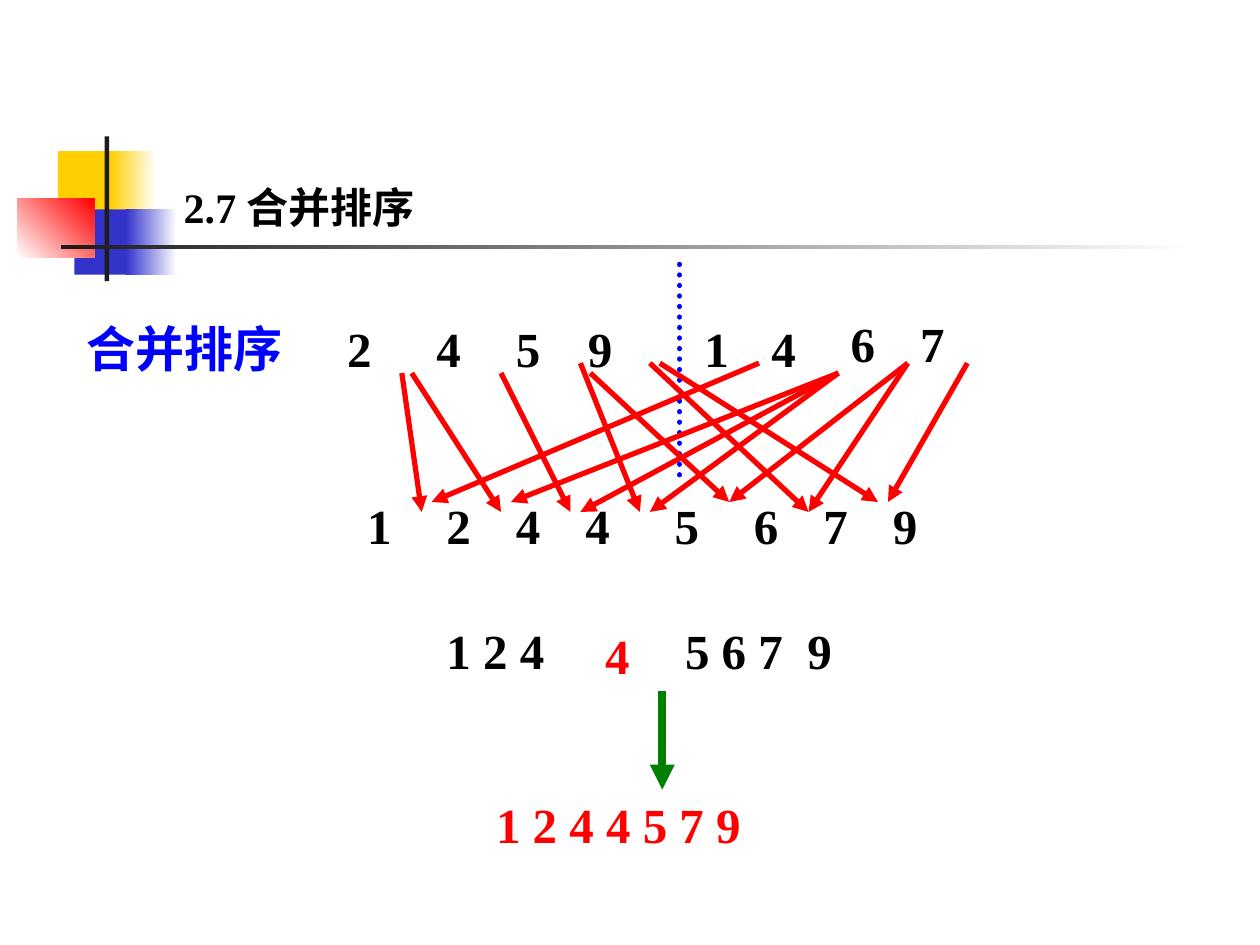
"""Builds the merge sort slide on a grid of 254 columns, one millimetre each."""
from lxml import etree
from pptx import Presentation
from pptx import util as u
from pptx.dml.color import RGBColor
from pptx.enum import dml, shapes, text
from pptx.oxml.ns import qn

FONT = "Times New Roman"
BLACK, WHITE, RED, BLUE, GREEN = "000000", "FFFFFF", "FF0000", "0000FF", "008000"
GOLD, INDIGO, INK = "FFCF01", "3333CC", "1C1C1C"


def rgb(value):
    """Return the colour for a hex string."""
    return RGBColor.from_string(value)


def write(frame, content, size=28, color=BLACK, before=7):
    """Put one bold, left-aligned line of text in a text frame."""
    frame.word_wrap = True
    frame.auto_size = text.MSO_AUTO_SIZE.SHAPE_TO_FIT_TEXT
    frame.vertical_anchor = text.MSO_ANCHOR.TOP
    line = frame.paragraphs[0]
    line.alignment = text.PP_ALIGN.LEFT
    line.line_spacing = 0.8
    line.space_before = u.Pt(before)
    run = line.add_run()
    run.text = content
    run.font.name, run.font.size, run.font.bold = FONT, u.Pt(size), True
    run.font.color.rgb = rgb(color)


class MergeSlide:
    """Holds the grid and the slide, and draws each kind of element."""

    COLUMNS = 254

    def __init__(self, deck):
        """Add a title-only slide to the deck."""
        self.cell = deck.slide_width / self.COLUMNS
        self.slide = deck.slides.add_slide(deck.slide_layouts[5])

    def grid(self, *cells):
        """Turn grid cells into slide lengths."""
        return [u.Emu(round(count * self.cell)) for count in cells]

    def block(self, area, start, end=None, angle=0):
        """Draw a plain or gradient rectangle without outline."""
        block = self.slide.shapes.add_shape(shapes.MSO_SHAPE.RECTANGLE, *self.grid(*area))
        block.shadow.inherit = False
        block.line.fill.background()
        if end is None:
            block.fill.solid()
            block.fill.fore_color.rgb = rgb(start)
            return
        block.fill.gradient()
        block.fill.gradient_angle = angle
        for stop, color in zip(block.fill.gradient_stops, (start, end)):
            stop.color.rgb = rgb(color)

    def title(self, area, content):
        """Place and format the title placeholder."""
        title = self.slide.shapes.title
        title.left, title.top, title.width, title.height = self.grid(*area)
        write(title.text_frame, content, size=24, before=6)

    def label(self, left, top, content, width=29, color=BLACK):
        """Add a text box with one line of text."""
        box = self.slide.shapes.add_textbox(*self.grid(left, top, width, 12.2))
        write(box.text_frame, content, color=color)

    def line(self, start, end, color=RED, width=3, arrow=True):
        """Draw a straight arrow, or a round-dotted line without a head."""
        line = self.slide.shapes.add_connector(
            shapes.MSO_CONNECTOR.STRAIGHT, *self.grid(*start, *end))
        line.line.color.rgb = rgb(color)
        line.line.width = u.Pt(width)
        outline = line.line._get_or_add_ln()
        if arrow:
            etree.SubElement(outline, qn("a:tailEnd"), type="triangle")
        else:
            line.line.dash_style = dml.MSO_LINE.ROUND_DOT
            outline.set("cap", "rnd")
        etree.SubElement(line._element.spPr, qn("a:effectLst"))


def main():
    """Build and save the slide."""
    deck = Presentation()
    deck.slide_width, deck.slide_height = u.Inches(10), u.Inches(7.5)
    page = MergeSlide(deck)

    page.block((11.7, 30.5, 12.2, 13.2), GOLD)
    page.block((22.3, 30.5, 9.2, 13.2), GOLD, WHITE)
    page.block((15, 42.2, 11.7, 13.2), INDIGO)
    page.block((25.4, 42.2, 10.2, 13.2), INDIGO, WHITE)
    page.block((3.5, 40.1, 15.5, 11.8), WHITE, RED, angle=45)
    page.block((21.1, 27.5, 0.9, 29.2), INK)
    page.block((12.3, 49.4, 228.6, 0.9), INK, WHITE)
    page.title((34.5, 37.3, 66.5, 10.7), "2.7 合并排序")

    halves_top, raised_top, merged_top = 65.3, 64.2, 101
    page.label(15, halves_top, "合并排序", width=52.5, color=BLUE)
    for digit, left in zip("245914", (67.5, 85.5, 101.5, 116, 139.5, 153)):
        page.label(left, halves_top, digit)
    for digit, left in zip("67", (169, 183)):
        page.label(left, raised_top, digit)
    merged_lefts = (71.5, 87.5, 101.5, 115.5, 133.5, 149.5, 163.5, 177.5)
    for digit, left in zip("12445679", merged_lefts):
        page.label(left, merged_top, digit)

    page.line((137, 53.3), (137, 97.3), color=BLUE, arrow=False)
    high, low, near, far = 73.2, 75.2, 101.2, 103.2
    comparisons = (
        ((81, low), (153, high), (85, far), (87, near)),
        ((83, low), (169, low), (101, far), (103, near)),
        ((101, low), (169, low), (115, far), (117, far)),
        ((117, high), (169, low), (129, far), (131, far)),
        ((119, low), (183, high), (147, near), (147, near)),
        ((131, high), (183, high), (163, far), (163, far)),
        ((133, high), (195, high), (177, near), (179, near)),
    )
    for left_item, right_item, left_end, right_end in comparisons:
        page.line(left_item, left_end)
        page.line(right_item, right_end)

    page.label(87.5, 126.2, "1 2 4", width=43.7)
    page.label(135.6, 126.2, "5 6 7  9", width=53.6)
    page.label(119.5, 127.2, "4", color=RED)
    page.line((133.5, 139.2), (133.5, 159.2), color=GREEN, width=4.75)
    page.label(97.5, 161.3, "1 2 4 4 5 7 9", width=73.4, color=RED)

    deck.save("out.pptx")


if __name__ == "__main__":
    main()
